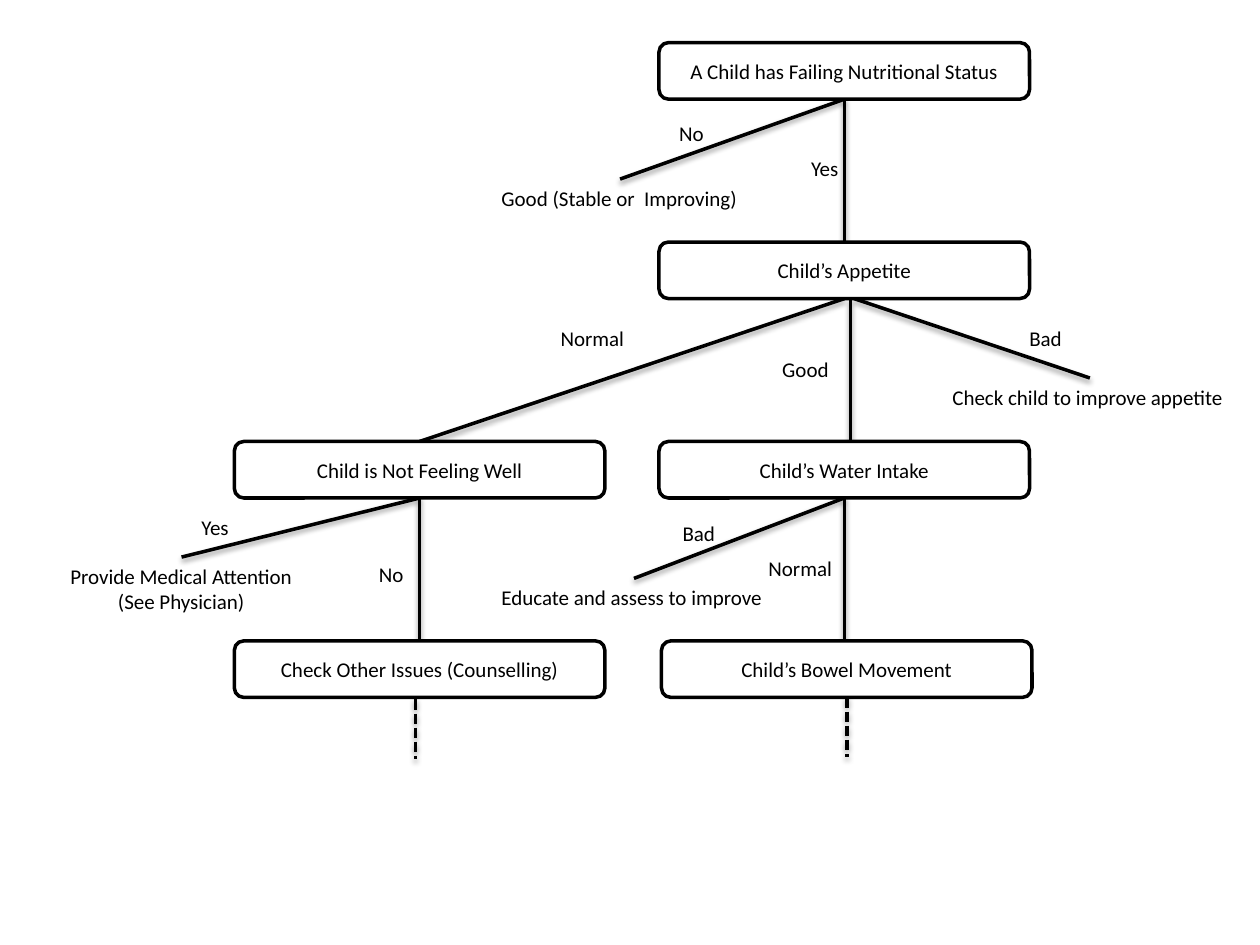
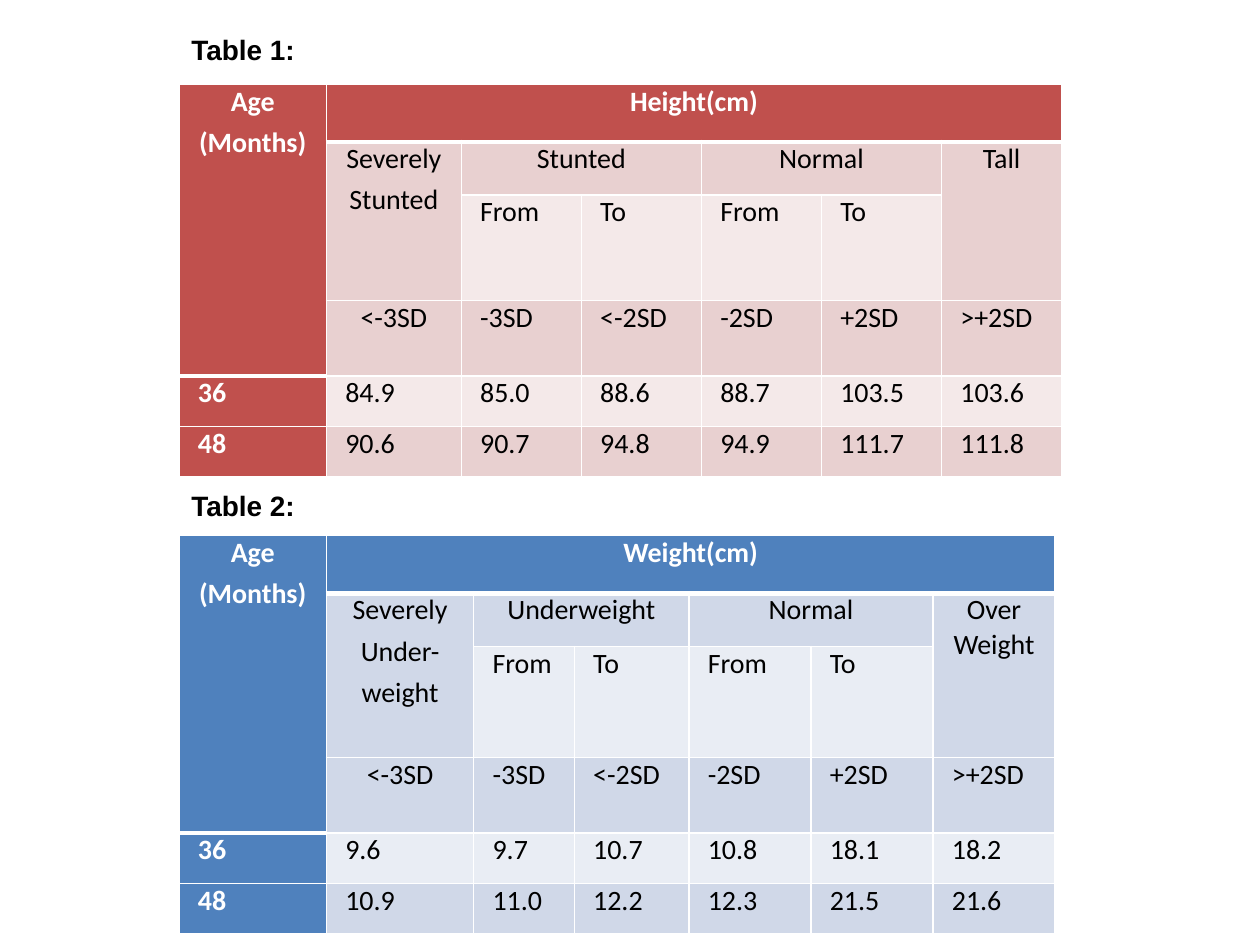
from lxml.etree import SubElement
from pptx import Presentation
from pptx.dml.color import RGBColor
from pptx.enum.dml import MSO_LINE
from pptx.enum.shapes import MSO_CONNECTOR as LINK, MSO_SHAPE as SHAPE
from pptx.enum.text import MSO_ANCHOR as ANCHOR, MSO_AUTO_SIZE as FIT, PP_ALIGN as ALIGN
from pptx.oxml.ns import qn
from pptx.util import Cm, Pt

COLORS = {
    "ink": "000000", "paper": "FFFFFF",
    "height_head": "C0504D", "height_dark": "E8D0D0", "height_light": "F4E9E9",
    "weight_head": "4F81BD", "weight_dark": "D0D8E8", "weight_light": "E9EDF4",
}
BODY_FONT, CAPTION_FONT = "Calibri", "Arial"
BOX_WIDTH, BOX_HEIGHT = 7.47, 1.14
FIRST_LEVEL, LEVEL_STEP = 0.86, 4.02
LEFT_AXIS, RIGHT_AXIS = 8.46, 17.02
TABLE_LEFT = 3.61
BANDS = ("head", "dark", "light", "dark", "light", "dark")


def rgb(name):
    """Return the named colour."""
    return RGBColor.from_string(COLORS[name])


def level_top(level):
    """Return the top of the boxes on a level of the tree, in cm."""
    return FIRST_LEVEL + level * LEVEL_STEP


def level_bottom(level):
    """Return the bottom of the boxes on a level of the tree, in cm."""
    return level_top(level) + BOX_HEIGHT


def format_text(frame, size, color="ink", font=BODY_FONT, bold=False, align=None, after=None):
    """Format every paragraph and run of a text frame alike."""
    for paragraph in frame.paragraphs:
        paragraph.alignment = align
        if after is not None:
            paragraph.space_after = Pt(after)
        for run in paragraph.runs:
            run.font.name, run.font.size, run.font.bold = font, Pt(size), bold
            run.font.color.rgb = rgb(color)


def add_question(slide, text, axis, level):
    """Add a rounded box centred on an axis."""
    box = slide.shapes.add_shape(SHAPE.ROUNDED_RECTANGLE, Cm(axis - BOX_WIDTH / 2),
                                 Cm(level_top(level)), Cm(BOX_WIDTH), Cm(BOX_HEIGHT))
    box.shadow.inherit = False
    box.fill.solid()
    box.fill.fore_color.rgb = rgb("paper")
    box.line.color.rgb = rgb("ink")
    box.line.width = Pt(2)
    box.text_frame.text = text
    box.text_frame.vertical_anchor = ANCHOR.MIDDLE
    format_text(box.text_frame, 12, align=ALIGN.CENTER)


def add_branch(slide, x1, y1, x2, y2, dashed=False):
    """Add a black line with a soft shadow below it."""
    branch = slide.shapes.add_connector(LINK.STRAIGHT, Cm(x1), Cm(y1), Cm(x2), Cm(y2))
    branch.line.color.rgb = rgb("ink")
    branch.line.width = Pt(2)
    if dashed:
        branch.line.dash_style = MSO_LINE.SQUARE_DOT
    effects = SubElement(branch._element.spPr, qn("a:effectLst"))
    shadow = SubElement(effects, qn("a:outerShdw"), blurRad="40000", dist="20000",
                        dir="5400000", rotWithShape="0")
    shade = SubElement(shadow, qn("a:srgbClr"), val=COLORS["ink"])
    SubElement(shade, qn("a:alpha"), val="38000")


def add_label(slide, text, left, top, width, height=0.76, size=12, **style):
    """Add a text that does not wrap."""
    label = slide.shapes.add_textbox(Cm(left), Cm(top), Cm(width), Cm(height))
    frame = label.text_frame
    frame.text = text
    frame.word_wrap = False
    frame.auto_size = FIT.SHAPE_TO_FIT_TEXT
    format_text(frame, size, **style)


def add_caption(slide, text, top):
    """Add the bold caption above a table."""
    add_label(slide, text, TABLE_LEFT, top, 2.62, 0.94, 16, font=CAPTION_FONT, bold=True)


def set_borders(cell, heavy_top, heavy_bottom):
    """Draw white cell borders, heavier next to the header."""
    properties = cell._tc.get_or_add_tcPr()
    widths = {"lnL": 1, "lnR": 1, "lnT": 3 if heavy_top else 1, "lnB": 3 if heavy_bottom else 1}
    for side, width in widths.items():
        border = SubElement(properties, qn(f"a:{side}"), w=str(Pt(width)))
        SubElement(SubElement(border, qn("a:solidFill")), qn("a:srgbClr"), val=COLORS["paper"])


def add_growth_table(slide, palette, top, widths, heights, heading, groups, readings):
    """Add a table of growth limits by age."""
    severe, low, normal, high = groups
    rows = [
        ["Age\n(Months)", heading, "", "", "", "", ""],
        ["", severe, low, "", normal, "", high],
        ["", "", "From", "To", "From", "To", ""],
        ["", "<-3SD", "-3SD", "<-2SD", "-2SD", "+2SD", ">+2SD"],
        *readings,
    ]
    table = slide.shapes.add_table(len(rows), len(widths), Cm(TABLE_LEFT), Cm(top),
                                   Cm(sum(widths)), Cm(sum(heights))).table
    for column, width in zip(table.columns, widths):
        column.width = Cm(width)
    for row, height in zip(table.rows, heights):
        row.height = Cm(height)
    spans = [(0, 0, 3, 0), (0, 1, 0, 6), (1, 1, 2, 1), (1, 2, 1, 3), (1, 4, 1, 5), (1, 6, 2, 6)]
    for first_row, first_col, last_row, last_col in spans:
        table.cell(first_row, first_col).merge(table.cell(last_row, last_col))

    for r, texts in enumerate(rows):
        for c, text in enumerate(texts):
            cell = table.cell(r, c)
            is_header = r == 0 or c == 0
            is_centred = r < 2 or (r, c) == (3, 1)
            set_borders(cell, (r == 4) if c == 0 else (r == 1), r == 0 or (r, c) == (3, 0))
            cell.fill.solid()
            cell.fill.fore_color.rgb = rgb(f"{palette}_{'head' if is_header else BANDS[r]}")
            cell.margin_left = cell.margin_right = Cm(0.38)
            cell.margin_top = cell.margin_bottom = 0
            if text:
                cell.text_frame.text = text
                format_text(cell.text_frame, 16, "paper" if is_header else "ink", bold=is_header,
                            align=ALIGN.CENTER if is_centred else ALIGN.JUSTIFY, after=4)


def build_decision_tree(slide):
    """Draw the decision tree for a child's nutritional status."""
    bottoms = [level_bottom(level) for level in range(4)]
    branches = [
        (RIGHT_AXIS, bottoms[0], 12.5, 3.61),
        (RIGHT_AXIS, bottoms[0], RIGHT_AXIS, level_top(1)),
        (RIGHT_AXIS, bottoms[1], LEFT_AXIS, level_top(2)),
        (17.15, bottoms[1], 17.15, level_top(2)),
        (17.22, bottoms[1], 21.97, 7.62),
        (RIGHT_AXIS, bottoms[2], 12.78, 11.66),
        (RIGHT_AXIS, bottoms[2], RIGHT_AXIS, level_top(3)),
        (LEFT_AXIS, bottoms[2], 3.66, 11.23),
        (LEFT_AXIS, bottoms[2], LEFT_AXIS, level_top(3)),
    ]
    for branch in branches:
        add_branch(slide, *branch)
    for x, start in ((17.07, bottoms[3]), (8.38, 14.1)):
        add_branch(slide, x, start, x, start + 1.21, dashed=True)

    questions = [
        ("A Child has Failing Nutritional Status", RIGHT_AXIS, 0),
        ("Child’s Appetite", RIGHT_AXIS, 1),
        ("Child is Not Feeling Well", LEFT_AXIS, 2),
        ("Child’s Water Intake", RIGHT_AXIS, 2),
        ("Check Other Issues (Counselling)", LEFT_AXIS, 3),
        ("Child’s Bowel Movement", 17.07, 3),
    ]
    for question in questions:
        add_question(slide, *question)

    answers = [
        ("No", 13.44, 2.31, 1.02),
        ("Yes", 16.1, 3.02, 1.07),
        ("Normal", 11.05, 6.43, 1.8),
        ("Good", 15.52, 7.06, 1.47),
        ("Bad", 20.5, 6.43, 1.17),
        ("Yes", 3.81, 10.24, 1.07),
        ("No", 7.39, 11.2, 1.02),
        ("Bad", 13.51, 10.36, 1.17),
        ("Normal", 15.24, 11.07, 1.8),
    ]
    outcomes = [
        ("Good (Stable or  Improving)", 9.86, 3.61, 5.31),
        ("Check child to improve appetite", 18.95, 7.62, 6.02),
        ("Educate and assess to improve", 9.86, 11.66, 5.82),
    ]
    for label in answers + outcomes:
        add_label(slide, *label)
    add_label(slide, "Provide Medical Attention\n(See Physician)", 1.14, 11.23, 5.03, 1.27,
              align=ALIGN.CENTER)


def build_growth_tables(slide):
    """Set the height and weight tables below each other."""
    add_caption(slide, "Table 1:", 0.53)
    add_growth_table(
        slide, "height", 1.7, [2.97, 2.72] + [2.42] * 5, [1.16, 1.07, 2.13, 1.52, 1.02, 1.02],
        "Height(cm)", ("Severely\nStunted", "Stunted", "Normal", "Tall"),
        [["36", "84.9", "85.0", "88.6", "88.7", "103.5", "103.6"],
         ["48", "90.6", "90.7", "94.8", "94.9", "111.7", "111.8"]])
    add_caption(slide, "Table 2:", 9.73)
    add_growth_table(
        slide, "weight", 10.8, [2.97, 2.97, 2.03, 2.31] + [2.46] * 3,
        [1.16, 1.07, 2.24, 1.52, 1.02, 1.02],
        "Weight(cm)", ("Severely\nUnder-\nweight", "Underweight", "Normal", "Over Weight"),
        [["36", "9.6", "9.7", "10.7", "10.8", "18.1", "18.2"],
         ["48", "10.9", "11.0", "12.2", "12.3", "21.5", "21.6"]])


def main():
    """Build the two slides and save them."""
    deck = Presentation()
    deck.slide_width, deck.slide_height = Cm(25.4), Cm(19.05)
    for build in (build_decision_tree, build_growth_tables):
        build(deck.slides.add_slide(deck.slide_layouts[6]))
    deck.save("out.pptx")


if __name__ == "__main__":
    main()
